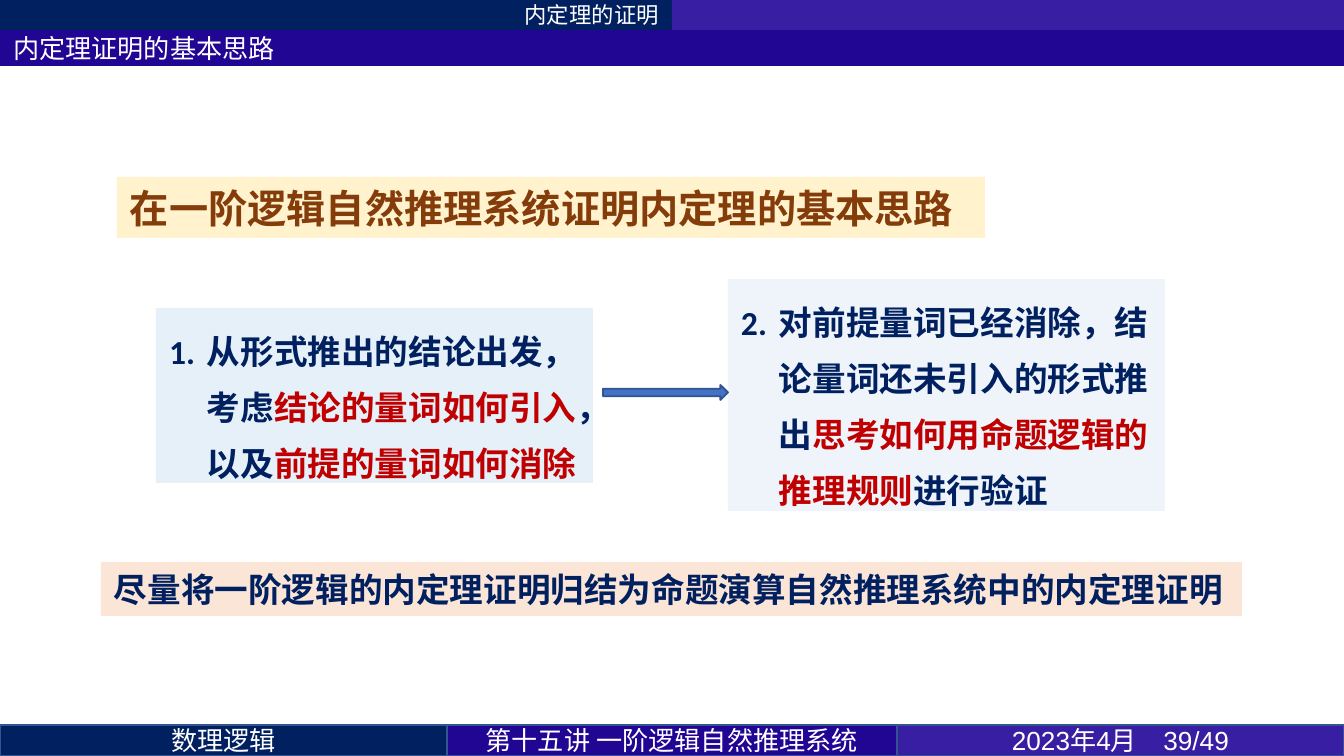
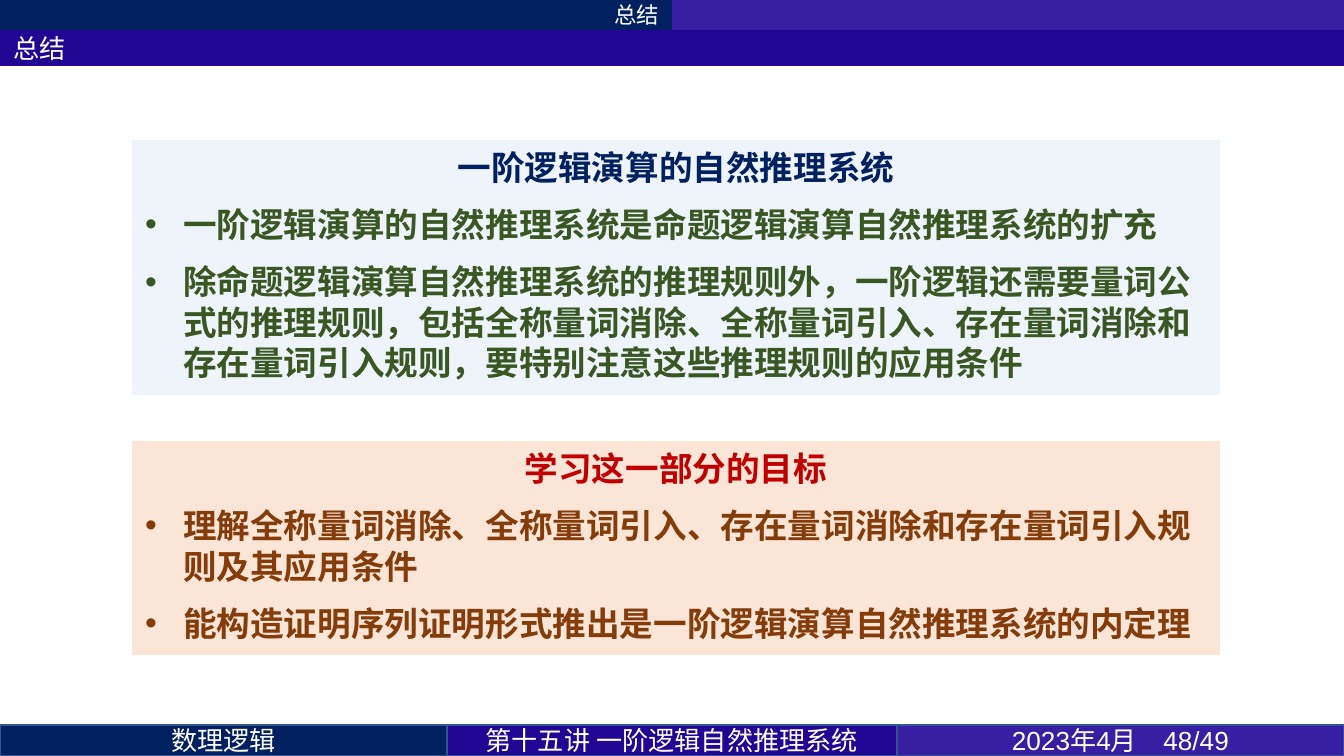
from dataclasses import dataclass

from lxml.etree import SubElement
from pptx import Presentation
from pptx.dml.color import RGBColor
from pptx.enum.shapes import MSO_SHAPE as SHAPE
from pptx.enum.text import MSO_ANCHOR as ANCHOR, MSO_AUTO_SIZE as AUTO_SIZE, PP_ALIGN as ALIGN
from pptx.oxml.ns import qn
from pptx.util import Emu, Pt


@dataclass(frozen=True)
class Theme:
    navy: str = "002060"
    indigo: str = "210694"
    violet: str = "371EA2"
    edge: str = "325491"
    arrow: str = "4472C4"
    white: str = "FFFFFF"
    red: str = "C00000"
    brown: str = "843C0B"
    green: str = "385723"
    cream: str = "FFF2CC"
    sky: str = "DEEBF7"
    peach: str = "FBE5D6"
    latin: str = "Arial"
    heading: str = "Calibri"
    cjk: str = "Noto Sans CJK SC"
    section: int = 12
    band: int = 14
    body: int = 18
    banner: int = 21


T = Theme()
W, H = 1344, 756
TOP_H, TITLE_H, FOOT_H = 30, 36, 31
TWO_CONTENT = 3
INDENT = 38
PARA_GAP = 4.5


def px(n):
    return Emu(round(n * 914400 / 134.4))


def place(sp, box):
    sp.left, sp.top, sp.width, sp.height = (px(n) for n in box)


def paint(sp, color, opacity=100):
    sp.fill.solid()
    sp.fill.fore_color.rgb = RGBColor.from_string(color)
    if opacity < 100:
        clr = sp.fill._xPr.find(qn("a:solidFill"))[0]
        SubElement(clr, qn("a:alpha")).set("val", str(opacity * 1000))


def outline(sp, color=None):
    if color:
        sp.line.color.rgb = RGBColor.from_string(color)
        sp.line.width = Pt(1)
    else:
        sp.line.fill.background()


def add_block(slide, box, fill, edge=None, kind=SHAPE.RECTANGLE):
    sp = slide.shapes.add_shape(kind, *(px(n) for n in box))
    sp.shadow.inherit = False
    paint(sp, fill)
    outline(sp, edge)
    return sp


def set_frame(sp, anchor):
    tf = sp.text_frame
    tf.word_wrap = True
    tf.auto_size = AUTO_SIZE.NONE
    tf.vertical_anchor = anchor
    tf.margin_left = tf.margin_right = px(13)
    tf.margin_top = tf.margin_bottom = px(7)
    return tf


def style_run(r, size, color, font, bold=False):
    r.font.size = Pt(size)
    r.font.bold = bold
    r.font.name = font
    r.font.color.rgb = RGBColor.from_string(color)
    rPr = r._r.get_or_add_rPr()
    rPr.set("lang", "zh-CN")
    # East Asian text takes its line height from the heading font
    SubElement(rPr, qn("a:ea")).set("typeface", T.heading)


def set_line(sp, text, size, color, font, align=ALIGN.LEFT, anchor=ANCHOR.MIDDLE, bold=False):
    """Fill a shape with one uniformly formatted line."""
    p = set_frame(sp, anchor).paragraphs[0]
    p.text = text
    p.alignment = align
    style_run(p.runs[0], size, color, font, bold)


def set_bullet(p, tag, indent=INDENT, **attrs):
    pPr = p._p.get_or_add_pPr()
    pPr.set("marL", str(px(indent)))
    pPr.set("indent", str(px(-indent)))
    if tag == "buChar":
        SubElement(pPr, qn("a:buFont")).set("typeface", T.latin)
    bullet = SubElement(pPr, qn(f"a:{tag}"))
    for key, value in attrs.items():
        bullet.set(key, value)


def add_top_bands(slide, section, title):
    half = W // 2
    sp = add_block(slide, (0, 0, half, TOP_H), T.navy)
    set_line(sp, section, T.section, T.white, T.cjk, ALIGN.RIGHT)
    add_block(slide, (half, 0, half, TOP_H), T.violet)
    sp = slide.shapes.title
    place(sp, (0, TOP_H, W, TITLE_H))
    paint(sp, T.indigo)
    set_line(sp, title, T.band, T.white, T.heading)


def add_footer(slide, page):
    cells = (
        ("数理逻辑", 447, T.navy, T.cjk),
        ("第十五讲 一阶逻辑自然推理系统", 450, T.indigo, T.cjk),
        (f"2023年4月　{page}/49", 447, T.violet, T.latin),
    )
    x = 0
    for text, width, fill, font in cells:
        sp = add_block(slide, (x, H - FOOT_H, width, FOOT_H), fill, T.edge)
        set_line(sp, text, T.band, T.white, font, ALIGN.CENTER)
        x += width


def add_banner(slide, box, text, size, color, fill):
    sp = add_block(slide, box, fill)
    set_line(sp, text, size, color, T.heading, anchor=ANCHOR.TOP, bold=True)


def fill_step(sp, box, number, parts, opacity):
    """Numbered paragraph whose odd parts are emphasised in red."""
    place(sp, box)
    paint(sp, T.sky, opacity)
    p = set_frame(sp, ANCHOR.TOP).paragraphs[0]
    p.line_spacing = Pt(30)
    p.space_before = Pt(0)
    for i, text in enumerate(parts):
        r = p.add_run()
        r.text = text
        color, font = ((T.navy, T.latin), (T.red, T.cjk))[i % 2]
        style_run(r, T.body, color, font, True)
    set_bullet(p, "buAutoNum", type="arabicPeriod", startAt=str(number))


def fill_panel(sp, box, heading, items, colors, fill, opacity=100, first_gap=0):
    """Centred heading over a bulleted list."""
    place(sp, box)
    paint(sp, fill, opacity)
    tf = set_frame(sp, ANCHOR.TOP)
    tf.text = "\n".join((heading, *items))
    for i, p in enumerate(tf.paragraphs):
        p.space_before = Pt(PARA_GAP if i else first_gap)
        p.space_after = Pt(PARA_GAP)
        p.alignment = ALIGN.LEFT if i else ALIGN.CENTER
        style_run(p.runs[0], T.body, colors[min(i, 1)], T.cjk if i else T.heading, True)
        if i:
            set_bullet(p, "buChar", char="•")
        else:
            set_bullet(p, "buNone", indent=0)


def add_page(prs, section, title, page):
    slide = prs.slides.add_slide(prs.slide_layouts[TWO_CONTENT])
    for ph in list(slide.placeholders):
        if ph.placeholder_format.idx > 2:
            ph._element.getparent().remove(ph._element)
    add_top_bands(slide, section, title)
    add_footer(slide, page)
    return slide, slide.placeholders[1], slide.placeholders[2]


def build_approach(prs):
    slide, first, second = add_page(prs, "内定理的证明", "内定理证明的基本思路", 39)
    add_banner(slide, (117, 177, 868, 61), "在一阶逻辑自然推理系统证明内定理的基本思路",
               T.banner, T.brown, T.cream)
    fill_step(first, (156, 308, 437, 175), 1,
              ("从形式推出的结论出发，考虑", "结论的量词如何引入", "，以及", "前提的量词如何消除"), 75)
    fill_step(second, (728, 279, 437, 232), 2,
              ("对前提量词已经消除，结论量词还未引入的形式推出",
               "思考如何用命题逻辑的推理规则", "进行验证"), 50)
    add_block(slide, (603, 385, 125, 15), T.arrow, T.edge, SHAPE.RIGHT_ARROW)
    add_banner(slide, (101, 562, 1141, 54),
               "尽量将一阶逻辑的内定理证明归结为命题演算自然推理系统中的内定理证明",
               T.body, T.navy, T.peach)


def build_summary(prs):
    _, system, goals = add_page(prs, "总结", "总结", 48)
    fill_panel(system, (132, 140, 1088, 255), "一阶逻辑演算的自然推理系统", (
        "一阶逻辑演算的自然推理系统是命题逻辑演算自然推理系统的扩充",
        "除命题逻辑演算自然推理系统的推理规则外，一阶逻辑还需要量词公式的推理规则，"
        "包括全称量词消除、全称量词引入、存在量词消除和存在量词引入规则，"
        "要特别注意这些推理规则的应用条件",
    ), (T.navy, T.green), T.sky, 50, PARA_GAP)
    fill_panel(goals, (132, 441, 1088, 214), "学习这一部分的目标", (
        "理解全称量词消除、全称量词引入、存在量词消除和存在量词引入规则及其应用条件",
        "能构造证明序列证明形式推出是一阶逻辑演算自然推理系统的内定理",
    ), (T.red, T.brown), T.peach)


def main():
    prs = Presentation()
    prs.slide_width, prs.slide_height = px(W), px(H)
    build_approach(prs)
    build_summary(prs)
    prs.save("out.pptx")


if __name__ == "__main__":
    main()
